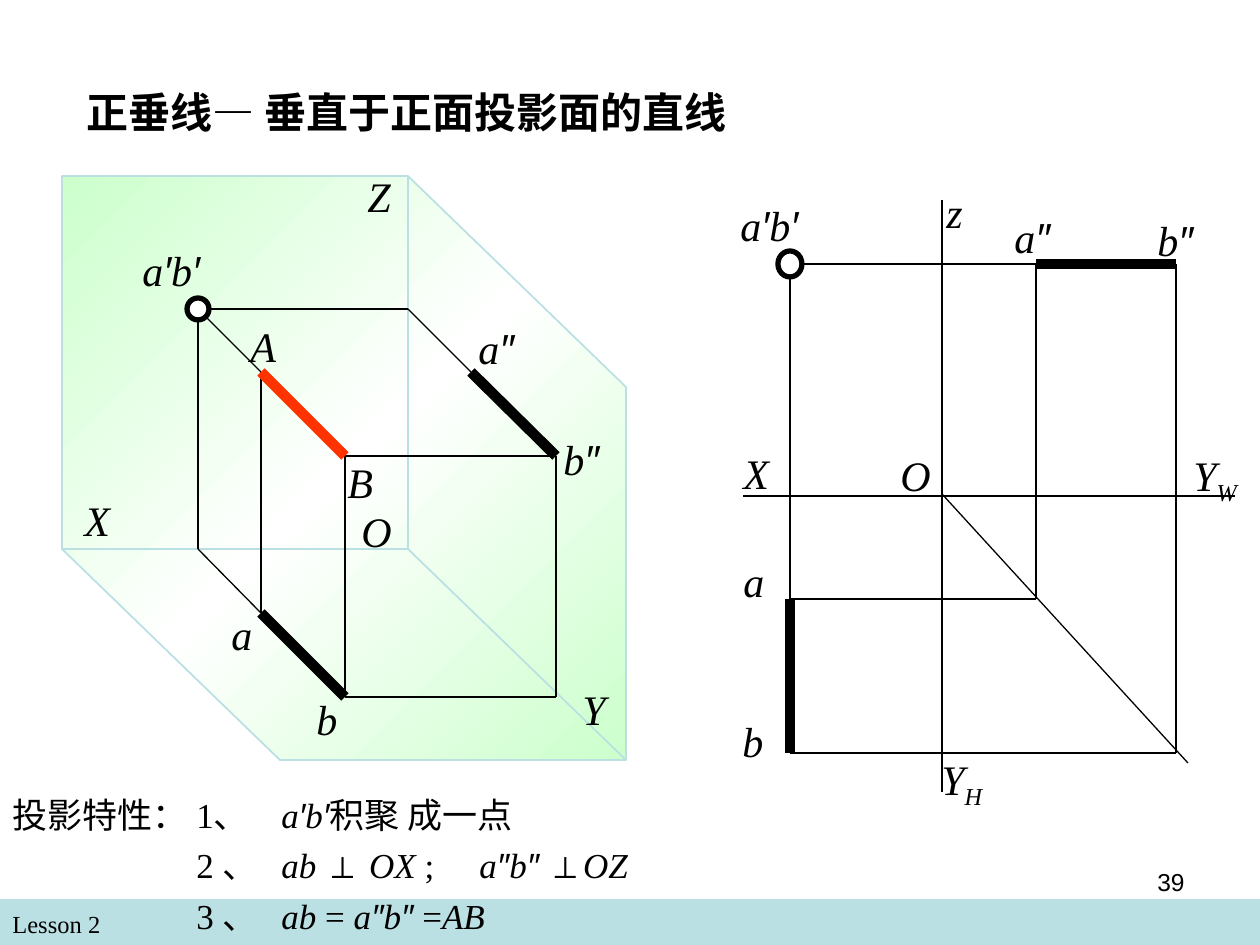
from dataclasses import dataclass
from itertools import groupby
from typing import NamedTuple

from lxml import etree
from pptx import Presentation
from pptx.dml.color import RGBColor
from pptx.enum.shapes import MSO_CONNECTOR, MSO_SHAPE
from pptx.enum.text import MSO_ANCHOR, PP_ALIGN
from pptx.oxml.ns import qn
from pptx.util import Emu, Pt

LINE, RECT, OVAL = MSO_CONNECTOR.STRAIGHT, MSO_SHAPE.RECTANGLE, MSO_SHAPE.OVAL
LEFT, RIGHT, MIDDLE = PP_ALIGN.LEFT, PP_ALIGN.RIGHT, MSO_ANCHOR.MIDDLE
EMU_PER_PX = 914400 / 126
SYMBOLS = "′″⊥"


@dataclass(frozen=True)
class Theme:
    ink: str = "000000"
    paper: str = "FFFFFF"
    pale: str = "BBE0E3"
    green: str = "CCFFCC"
    red: str = "FF3300"
    serif: str = "Times New Roman"
    sans: str = "Arial"
    cjk: str = "Noto Sans CJK SC"
    label: int = 24
    body: int = 20
    small: int = 14
    thin: float = 0.75
    edge: float = 1
    ring: float = 3
    thick: float = 6


T = Theme()


class Point(NamedTuple):
    x: int
    y: int


class Part(NamedTuple):
    text: str
    italic: bool = True
    sub: bool = False


class Label(NamedTuple):
    x: int
    y: int
    w: int
    text: str
    sub: str = ""


class Segment(NamedTuple):
    start: Point
    end: Point
    width: float = T.thin
    color: str = T.ink


def px(n: float) -> Emu:
    return Emu(round(n * EMU_PER_PX))


def rgb(color: str) -> RGBColor:
    return RGBColor.from_string(color)


def set_font(r, font: str, size: int) -> None:
    r.font.name, r.font.size = font, Pt(size)
    r.font.color.rgb = rgb(T.ink)
    etree.SubElement(r._r.get_or_add_rPr(), qn("a:ea")).set("typeface", T.cjk)


def add_parts(p, parts: list[Part], size: int) -> None:
    """Add runs, giving primes and the perpendicular sign the sans font."""
    for part in parts:
        for symbol, chars in groupby(part.text, lambda c: c in SYMBOLS):
            r = p.add_run()
            r.text = "".join(chars)
            set_font(r, T.sans if symbol else T.serif, size)
            r.font.italic = part.italic
            if part.sub:
                r._r.get_or_add_rPr().set("baseline", "-25000")


def add_box(sl, x: int, y: int, w: int, h: int):
    tf = sl.shapes.add_textbox(px(x), px(y), px(w), px(h)).text_frame
    tf.word_wrap = True
    return tf


def add_label(sl, lb: Label) -> None:
    parts = [Part(lb.text)] + ([Part(lb.sub, sub=True)] if lb.sub else [])
    add_parts(add_box(sl, lb.x, lb.y, lb.w, 63).paragraphs[0], parts, T.label)


def add_segment(sl, s: Segment) -> None:
    ln = sl.shapes.add_connector(LINE, *map(px, s.start), *map(px, s.end))
    ln.line.color.rgb, ln.line.width = rgb(s.color), Pt(s.width)
    etree.SubElement(ln._element.spPr, qn("a:effectLst"))


def add_shape(sl, kind, x: int, y: int, w: int, h: int, fill: str):
    sp = sl.shapes.add_shape(kind, px(x), px(y), px(w), px(h))
    sp.shadow.inherit = False
    sp.fill.solid()
    sp.fill.fore_color.rgb = rgb(fill)
    sp.line.fill.background()
    return sp


def add_ring(sl, c: Point, w: int, h: int) -> None:
    sp = add_shape(sl, OVAL, c.x - w // 2, c.y - h // 2, w, h, T.paper)
    sp.line.color.rgb, sp.line.width = rgb(T.ink), Pt(T.ring)


def add_planes(sl, outline: list[Point]) -> None:
    fb = sl.shapes.build_freeform(*outline[0], scale=EMU_PER_PX)
    fb.add_line_segments(outline[1:], close=True)
    sp = fb.convert_to_shape()
    sp.shadow.inherit = False
    sp.line.color.rgb, sp.line.width = rgb(T.pale), Pt(T.edge)
    sp.fill.gradient()
    grad = sp._element.spPr.find(qn("a:gradFill"))
    for child in list(grad):
        grad.remove(child)
    stops = etree.SubElement(grad, qn("a:gsLst"))
    for pos, color in ((0, T.green), (50, T.paper), (100, T.green)):
        gs = etree.SubElement(stops, qn("a:gs"), pos=str(pos * 1000))
        etree.SubElement(gs, qn("a:srgbClr"), val=color)
    etree.SubElement(grad, qn("a:lin"), ang=str(225 * 60000), scaled="0")


def add_tabs(p, stops: list[int]) -> None:
    tabs = etree.SubElement(p._p.get_or_add_pPr(), qn("a:tabLst"))
    for stop in stops:
        etree.SubElement(tabs, qn("a:tab"), pos=str(px(stop)), algn="l")


def add_title(sl, text: str) -> None:
    sp = sl.shapes.title
    sp.left, sp.top, sp.width, sp.height = map(px, (74, 56, 1071, 111))
    tf = sp.text_frame
    tf.text, tf.vertical_anchor = text, MIDDLE
    p = tf.paragraphs[0]
    p.alignment = LEFT
    set_font(p.runs[0], T.cjk, T.label)
    p.runs[0].font.bold = True


def add_spatial_view(sl) -> None:
    top, corner, end = Point(408, 176), Point(408, 549), Point(626, 760)
    left = Point(62, 549)
    add_planes(sl, [Point(62, 176), left, Point(280, 760), end, Point(626, 387), top])
    edges = [Segment(p, corner, T.edge, T.pale) for p in (left, end, top)]

    front, foot, on_z = Point(198, 309), Point(198, 549), Point(408, 309)
    A, B, a, b = Point(261, 372), Point(345, 456), Point(261, 613), Point(345, 697)
    a2, b2, on_y = Point(471, 372), Point(556, 456), Point(556, 697)
    pairs = [(b2, on_y), (on_y, b), (front, foot), (B, b), (a, foot), (A, front),
             (B, b2), (front, on_z), (on_z, a2), (A, a)]
    bars = [Segment(a2, b2, T.thick), Segment(b, a, T.thick),
            Segment(A, B, T.thick, T.red)]
    for s in edges + [Segment(*pair) for pair in pairs] + bars:
        add_segment(sl, s)
    add_ring(sl, front, 22, 22)
    for lb in (Label(349, 499, 90, "O"), Label(72, 488, 66, "X"),
               Label(355, 164, 126, "Z"), Label(570, 677, 81, "Y"),
               Label(304, 687, 42, "b"), Label(130, 238, 179, "a′b′"),
               Label(466, 316, 92, "a″"), Label(551, 427, 92, "b″"),
               Label(219, 602, 42, "a"), Label(238, 314, 92, "A"),
               Label(335, 450, 158, "B")):
        add_label(sl, lb)


def add_three_views(sl) -> None:
    front, a, b = Point(790, 264), Point(790, 599), Point(790, 753)
    a2, b2 = Point(1036, 264), Point(1176, 264)
    turn_a, turn_b = Point(a2.x, a.y), Point(b2.x, b.y)
    pairs = [(Point(1235, 496), Point(743, 496)), (Point(942, 792), Point(942, 200)),
             (Point(942, 494), Point(1188, 763)), (a2, front), (b2, turn_b),
             (turn_b, b), (a, front), (a, turn_a), (turn_a, a2)]
    bars = [Segment(a2, b2, T.thick), Segment(a, b, T.thick)]
    for s in [Segment(*pair) for pair in pairs] + bars:
        add_segment(sl, s)
    add_ring(sl, front, 24, 26)
    for lb in (Label(934, 180, 84, "z"), Label(731, 441, 83, "X"),
               Label(728, 193, 134, "a′b′"), Label(1145, 208, 115, "b″"),
               Label(731, 549, 59, "a"), Label(888, 443, 103, "O"),
               Label(929, 747, 116, "Y", "H"), Label(1181, 443, 79, "Y", "W"),
               Label(1002, 205, 106, "a″"), Label(730, 709, 134, "b")):
        add_label(sl, lb)


def add_properties(sl) -> None:
    lines = [
        [Part("投影特性：\t1、\t", False), Part("a′b′"), Part("积聚 成一点", False)],
        [Part("\t2 、\t", False), Part("ab "), Part("⊥ ", False), Part("OX"),
         Part(" ;\t", False), Part("a″b″ "), Part("⊥", False), Part("OZ")],
        [Part("\t3 、\t", False), Part("ab"), Part(" = ", False), Part("a″b″"),
         Part(" =", False), Part("AB")],
    ]
    tf = add_box(sl, 0, 787, 1260, 156)
    for i, parts in enumerate(lines):
        p = tf.add_paragraph() if i else tf.paragraphs[0]
        if i:
            p.space_before = Pt(5)
        add_tabs(p, [184, 269, 467])
        add_parts(p, parts, T.body)


def main() -> None:
    prs = Presentation()
    prs.slide_width, prs.slide_height = px(1260), px(945)
    sl = prs.slides.add_slide(prs.slide_layouts[5])

    # Footer band and title
    add_shape(sl, RECT, 0, 899, 1260, 46, T.pale)
    add_parts(add_box(sl, 0, 903, 609, 42).paragraphs[0], [Part("Lesson 2", False)], T.small)
    add_title(sl, "正垂线— 垂直于正面投影面的直线")

    # Diagrams and their properties
    add_spatial_view(sl)
    add_properties(sl)
    add_three_views(sl)

    # Page number
    p = add_box(sl, 903, 861, 294, 65).paragraphs[0]
    p.text, p.alignment = "39", RIGHT
    set_font(p.runs[0], T.sans, T.small)
    prs.save("out.pptx")


if __name__ == "__main__":
    main()
